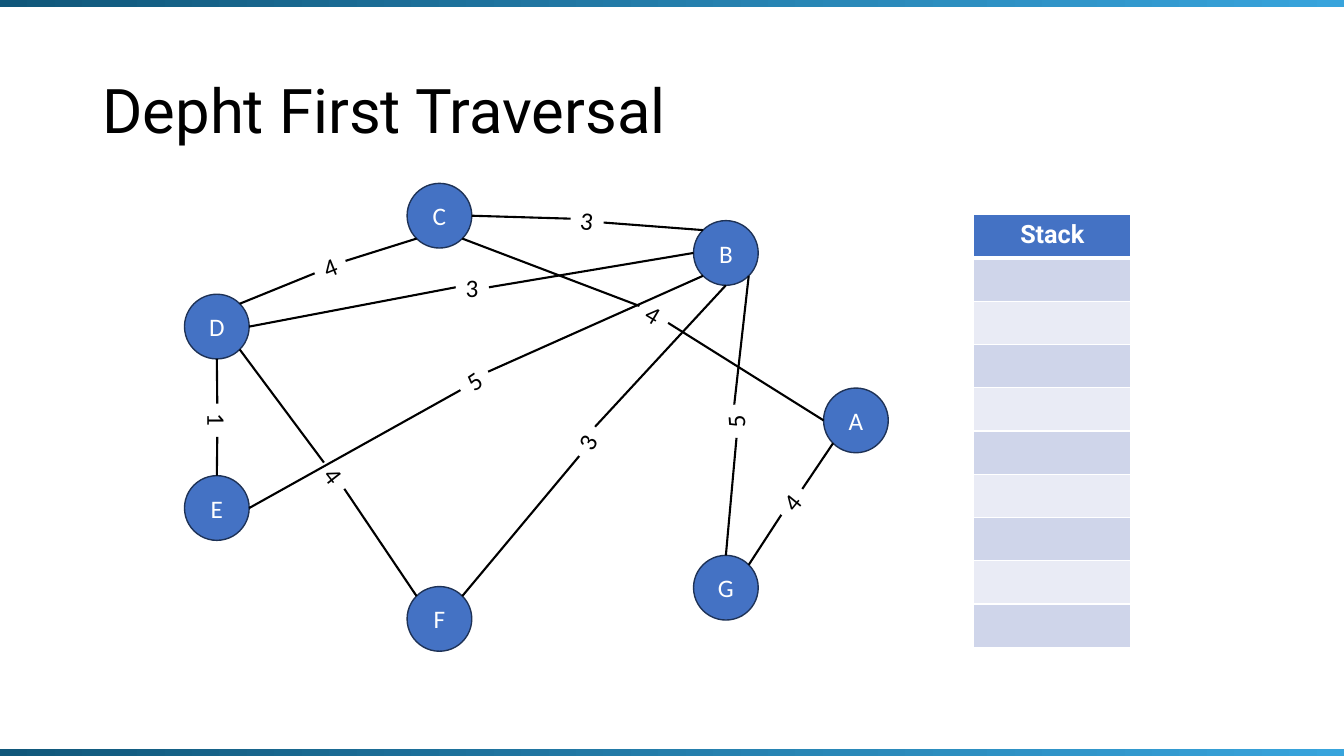
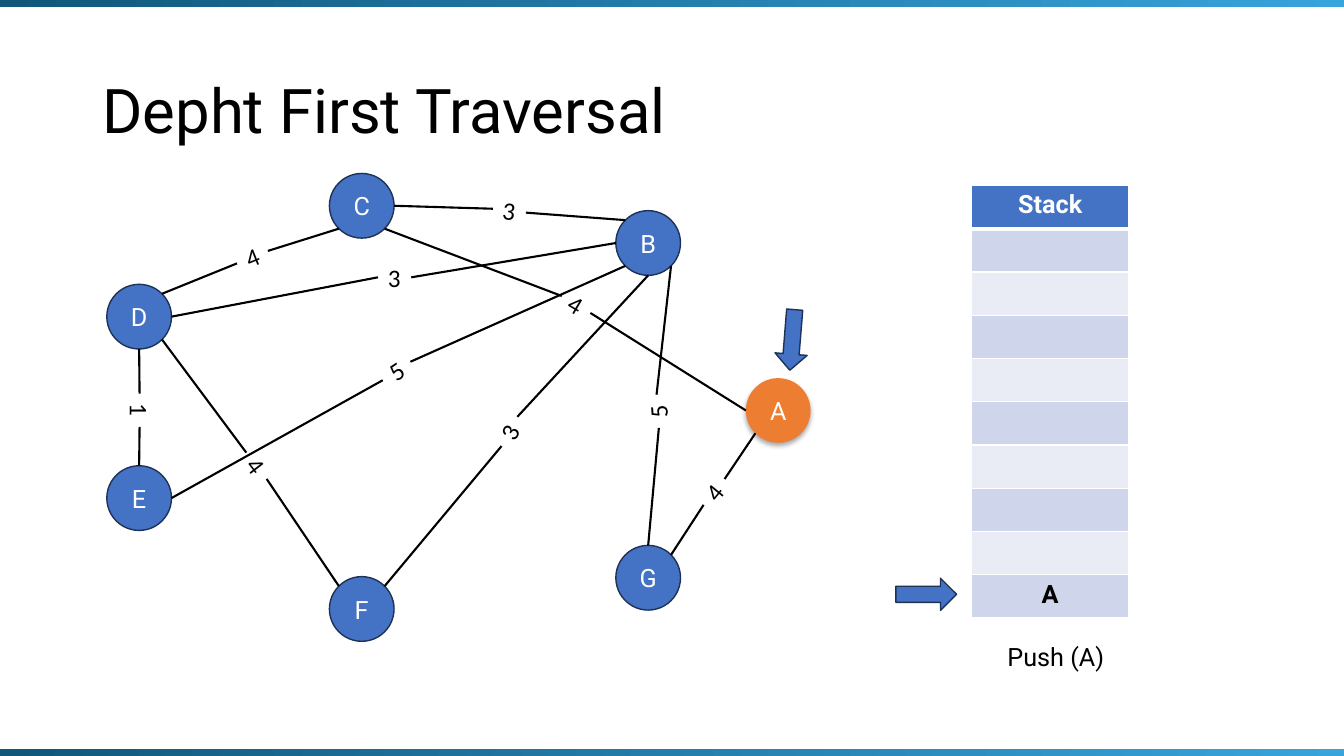
from math import cos, radians, sin, sqrt

from lxml.etree import SubElement
from pptx import Presentation
from pptx.dml.color import RGBColor
from pptx.enum.shapes import MSO_CONNECTOR, MSO_SHAPE
from pptx.enum.text import MSO_ANCHOR, MSO_AUTO_SIZE, PP_ALIGN
from pptx.oxml.ns import qn
from pptx.util import Pt

WHITE = RGBColor(0xFF, 0xFF, 0xFF)
BLACK = RGBColor(0x00, 0x00, 0x00)
BLUE = RGBColor(0x44, 0x72, 0xC4)
NAVY = RGBColor(0x1E, 0x32, 0x56)
ORANGE = RGBColor(0xED, 0x7D, 0x31)
BAND_FROM = RGBColor(0x10, 0x57, 0x7A)
BAND_TO = RGBColor(0x38, 0xA4, 0xDC)
ROW_DARK = RGBColor(0xCF, 0xD5, 0xEA)
ROW_LIGHT = RGBColor(0xE9, 0xEB, 0xF5)

ROBOTO, CALIBRI = "Roboto", "Calibri"
SLIDE_W, SLIDE_H = 960, 540
BAND_H = 5.5
NODE_D = 46.2
LABEL_W, LABEL_H = 23.76, 29
ARROW_W, ARROW_H = 43.4, 23
STACK_W, ROW_H, STACK_ROWS = 112.3, 30.9, 9

# Top left corner of each node, relative to the graph's corner
NODES = {
    "C": (159, 0), "B": (363.6, 26.6), "A": (456.5, 146.2), "G": (363.6, 265.7),
    "F": (159, 288), "E": (0, 208.8), "D": (0, 79.2),
}
# Start node and side, end node and side, weight, label centre, label angle
EDGES = [
    ("C", "br", "A", "l", "4", (335.2, 93.6), 30.6),
    ("D", "tr", "C", "bl", "4", (104, 59.8), 338),
    ("G", "tr", "A", "bl", "4", (433.8, 227.5), 309.1),
    ("C", "r", "B", "tl", "3", (287.6, 26.6), 6.7),
    ("D", "r", "B", "l", "3", (205.6, 74.2), 0),
    ("D", "br", "F", "tl", "4", (106.9, 208.8), 52.2),
    ("F", "tr", "B", "b", "3", (287.6, 184.3), 298.3),
    ("E", "r", "B", "bl", "5", (207, 141.1), 326.3),
    ("D", "b", "E", "t", "1", (23.4, 169.2), 90),
    ("G", "t", "B", "br", "5", (393.5, 169.9), 266.1),
]


def write(tf, text, font, color, size=18, bold=False, align=PP_ALIGN.CENTER):
    p = tf.paragraphs[0]
    p.alignment = align
    r = p.add_run()
    r.text = text
    r.font.name, r.font.size, r.font.bold = font, Pt(size), bold
    r.font.color.rgb = color
    return p


def add_shape(slide, kind, x, y, w, h, fill=None, line=None):
    sp = slide.shapes.add_shape(kind, Pt(x), Pt(y), Pt(w), Pt(h))
    sp.shadow.inherit = False
    if fill is not None:
        sp.fill.solid()
        sp.fill.fore_color.rgb = fill
    if line is None:
        sp.line.fill.background()
    else:
        sp.line.color.rgb = line
        sp.line.width = Pt(1)
    return sp


def add_label(slide, text, font, cx, cy, w, angle=0):
    """Unwrapped text box centred on a point."""
    sp = slide.shapes.add_textbox(Pt(cx - w / 2), Pt(cy - LABEL_H / 2), Pt(w), Pt(LABEL_H))
    sp.rotation = angle
    tf = sp.text_frame
    tf.word_wrap = False
    tf.auto_size = MSO_AUTO_SIZE.SHAPE_TO_FIT_TEXT
    write(tf, text, font, BLACK, align=PP_ALIGN.LEFT)


def add_line(slide, start, end):
    ln = slide.shapes.add_connector(MSO_CONNECTOR.STRAIGHT, *map(Pt, start + end))
    ln.line.color.rgb = BLACK
    ln.line.width = Pt(1.5)
    SubElement(ln._element.spPr, qn("a:effectLst"))


def add_arrow(slide, cx, cy, angle=0):
    sp = add_shape(slide, MSO_SHAPE.RIGHT_ARROW, cx - ARROW_W / 2, cy - ARROW_H / 2,
                   ARROW_W, ARROW_H, BLUE, NAVY)
    sp.rotation = angle


def add_soft_shadow(sp):
    effects = sp._element.spPr.find(qn("a:effectLst"))
    shadow = SubElement(effects, qn("a:outerShdw"), blurRad=str(Pt(3.5)), dist=str(Pt(2.2)),
                        dir="5400000", algn="ctr", rotWithShape="0")
    color = SubElement(shadow, qn("a:srgbClr"), val=str(BLACK))
    SubElement(color, qn("a:alpha"), val="32000")


def node_centre(name, x, y):
    dx, dy = NODES[name]
    return x + dx + NODE_D / 2, y + dy + NODE_D / 2


def node_side(name, side, x, y):
    """Point on a node's rim, named by t, b, l, r or a pair of them."""
    cx, cy = node_centre(name, x, y)
    reach = NODE_D / 2 / sqrt(len(side))
    return (cx + reach * (("r" in side) - ("l" in side)),
            cy + reach * (("b" in side) - ("t" in side)))


def add_graph(slide, x, y, font, active=None):
    for name, (dx, dy) in NODES.items():
        on = name == active
        sp = add_shape(slide, MSO_SHAPE.FLOWCHART_CONNECTOR, x + dx, y + dy, NODE_D, NODE_D,
                       ORANGE if on else BLUE, None if on else NAVY)
        if on:
            add_soft_shadow(sp)
        sp.text_frame.vertical_anchor = MSO_ANCHOR.MIDDLE
        write(sp.text_frame, name, font, WHITE)

    for start, start_side, end, end_side, weight, (dx, dy), angle in EDGES:
        cx, cy = x + dx, y + dy
        add_label(slide, weight, CALIBRI, cx, cy, LABEL_W, angle)
        ux = LABEL_W / 2 * cos(radians(angle))
        uy = LABEL_W / 2 * sin(radians(angle))
        add_line(slide, node_side(start, start_side, x, y), (cx - ux, cy - uy))
        add_line(slide, node_side(end, end_side, x, y), (cx + ux, cy + uy))

    if active:
        cx, cy = node_centre(active, x, y)
        add_arrow(slide, cx + 10, cy - 50.4, 94.6)


def style_cell(cell, fill, bottom=1):
    tcPr = cell._tc.get_or_add_tcPr()
    for side, width in (("L", 1), ("R", 1), ("T", 1), ("B", bottom)):
        ln = SubElement(tcPr, qn("a:ln" + side), w=str(Pt(width)))
        SubElement(SubElement(ln, qn("a:solidFill")), qn("a:srgbClr"), val=str(WHITE))
    cell.fill.solid()
    cell.fill.fore_color.rgb = fill


def add_stack(slide, x, y, items=(), caption=None):
    """Stack table, filled from the bottom row up, with a pointer at its top item."""
    height = ROW_H * (STACK_ROWS + 1)
    table = slide.shapes.add_table(STACK_ROWS + 1, 1, Pt(x), Pt(y), Pt(STACK_W), Pt(height)).table
    for i, row in enumerate(table.rows):
        row.height = Pt(ROW_H)
        if i == 0:
            style_cell(row.cells[0], BLUE, bottom=3)
        else:
            style_cell(row.cells[0], ROW_DARK if i % 2 else ROW_LIGHT)
    write(table.cell(0, 0).text_frame, "Stack", ROBOTO, WHITE, bold=True)
    for i, item in enumerate(items):
        write(table.cell(STACK_ROWS - i, 0).text_frame, item, ROBOTO, BLACK, bold=True)
    if items:
        add_arrow(slide, x - 32.4, y + height - ROW_H * (len(items) - 0.5) - 1.5)
    if caption:
        add_label(slide, caption, ROBOTO, x + STACK_W / 2 + 4.5, y + height + 27.5, 84.2)


def add_base(prs, title):
    """New slide with its title and the two gradient bands."""
    slide = prs.slides.add_slide(prs.slide_layouts[5])
    sp = slide.shapes.title
    sp.left, sp.top, sp.width, sp.height = Pt(66), Pt(28.8), Pt(828), Pt(104.4)
    sp.text_frame.vertical_anchor = MSO_ANCHOR.MIDDLE
    p = write(sp.text_frame, title, ROBOTO, BLACK, size=44, align=PP_ALIGN.LEFT)
    p.line_spacing = 0.9
    for y in (-0.5, SLIDE_H - BAND_H + 0.5):
        band = add_shape(slide, MSO_SHAPE.RECTANGLE, 0, y, SLIDE_W, BAND_H)
        band.fill.gradient()
        band.fill.gradient_angle = 0
        for stop, color, position in zip(band.fill.gradient_stops, (BAND_FROM, BAND_TO), (0, 1)):
            stop.color.rgb = color
            stop.position = position
    return slide


def main():
    prs = Presentation()
    prs.slide_width, prs.slide_height = Pt(SLIDE_W), Pt(SLIDE_H)
    title = "Depht First Traversal"

    slide = add_base(prs, title)
    add_graph(slide, 131.8, 131, CALIBRI)
    add_stack(slide, 695.5, 153.4)

    slide = add_base(prs, title)
    add_stack(slide, 694, 132.5, items=["A"], caption="Push (A)")
    add_graph(slide, 76.3, 123.9, ROBOTO, active="A")

    prs.save("out.pptx")


if __name__ == "__main__":
    main()
